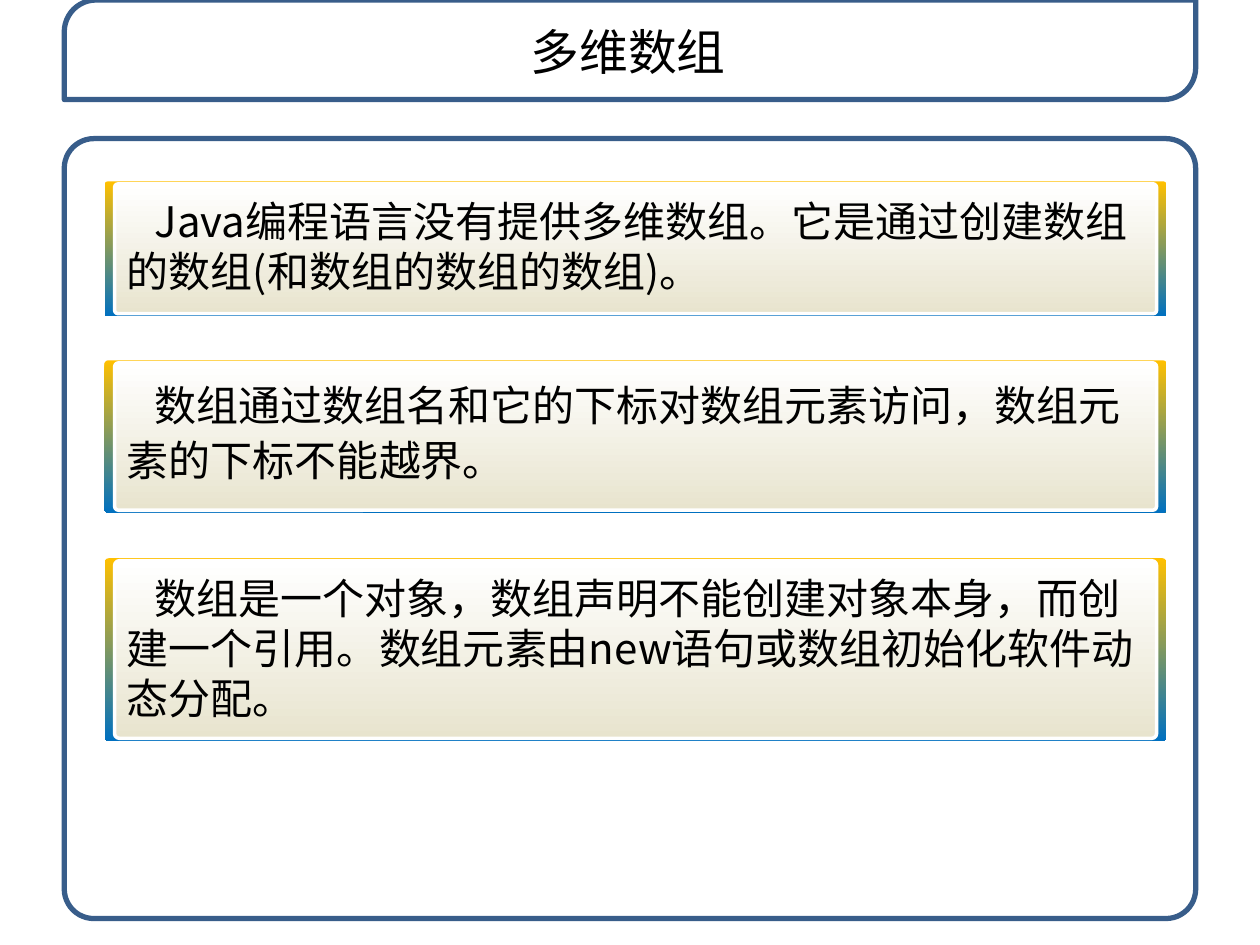
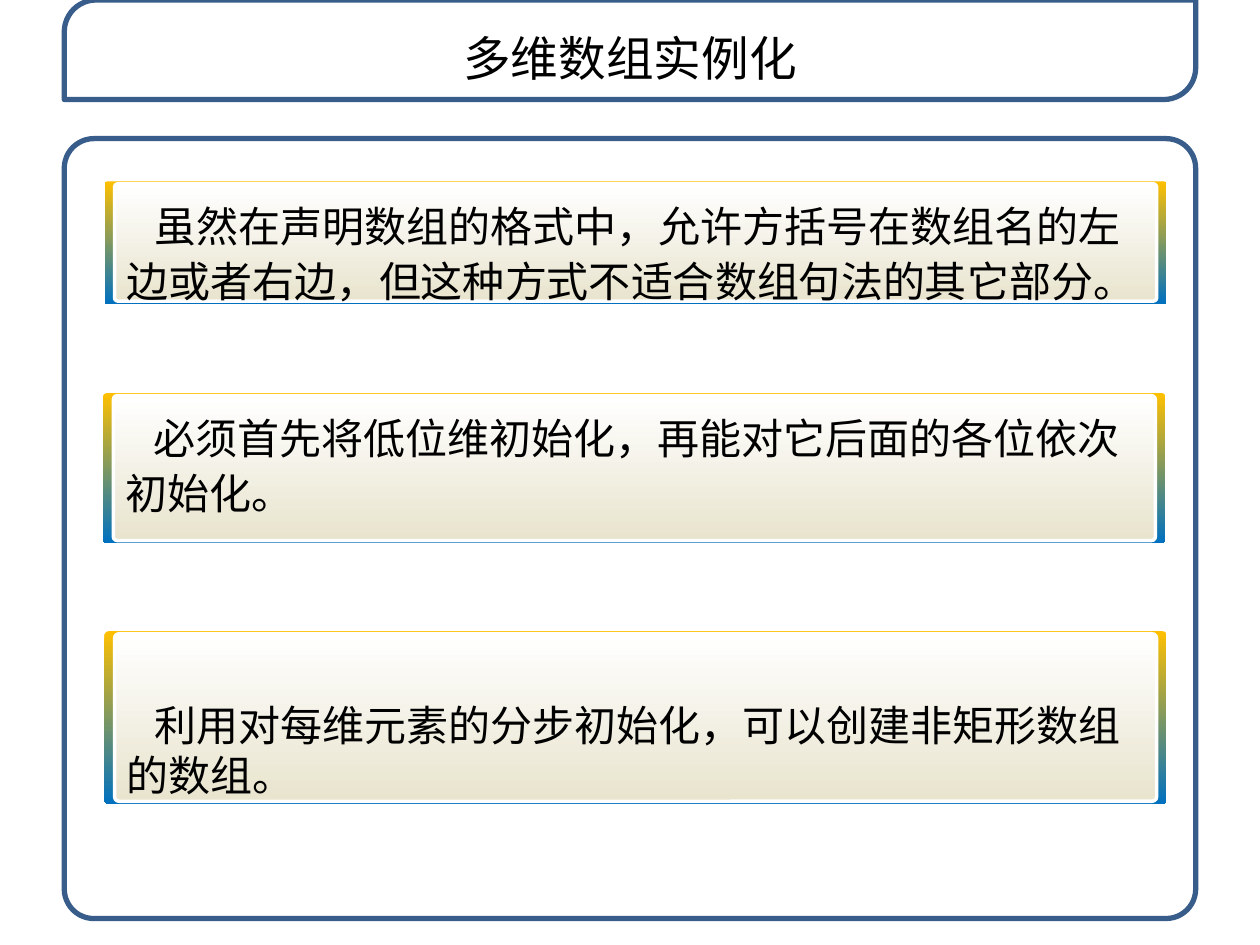
from dataclasses import dataclass

from lxml.etree import SubElement
from pptx import Presentation
from pptx.dml.color import RGBColor
from pptx.enum.shapes import MSO_SHAPE as Preset
from pptx.enum.text import MSO_ANCHOR as Anchor, MSO_AUTO_SIZE as AutoSize, PP_ALIGN as Align
from pptx.oxml.ns import qn
from pptx.util import Inches, Pt


@dataclass(frozen=True)
class Theme:
    font: str = "Noto Sans CJK SC"
    ink: str = "000000"
    paper: str = "FFFFFF"
    border: str = "385D8A"
    card_edge: tuple = ("FFC000", "0070C0")
    card_face: tuple = ("FFFFFF", "E8E4CE")
    body_size: float = 24
    line_height: float = 1.2
    frame_alpha: int = 85


@dataclass(frozen=True)
class Box:
    left: float
    top: float
    width: float
    height: float

    def inset(self, x, y):
        return Box(self.left + x, self.top + y, self.width - 2 * x, self.height - 2 * y)

    def lengths(self):
        return [Inches(value) for value in (self.left, self.top, self.width, self.height)]


@dataclass(frozen=True)
class Card:
    box: Box
    text: str
    text_height: float
    spacing: float = 1.0
    text_offset: float = 0.02


THEME = Theme()
TITLE_FRAME = Box(0.51, 0, 8.98, 0.79)
BODY_FRAME = Box(0.51, 1.1, 8.98, 6.19)
CARD_LEFT, CARD_WIDTH = 0.83, 8.43
PANEL_INSET = (0.08, 0.02)

SLIDES = [
    ("多维数组", Box(0.49, 0.08, 8.99, 0.6), 27.9, [
        Card(Box(CARD_LEFT, 1.44, CARD_WIDTH, 1.07),
             "Java编程语言没有提供多维数组。它是通过创建数组的数组(和数组的数组的数组)。", 0.9),
        Card(Box(CARD_LEFT, 2.86, CARD_WIDTH, 1.21),
             "数组通过数组名和它的下标对数组元素访问，数组元素的下标不能越界。", 0.98, spacing=1.1),
        Card(Box(CARD_LEFT, 4.43, CARD_WIDTH, 1.45),
             "数组是一个对象，数组声明不能创建对象本身，而创建一个引用。"
             "数组元素由new语句或数组初始化软件动态分配。", 1.3),
    ]),
    ("多维数组实例化", Box(0.59, 0.14, 8.82, 0.6), 27.2, [
        Card(Box(CARD_LEFT, 1.44, CARD_WIDTH, 0.97),
             "虽然在声明数组的格式中，允许方括号在数组名的左边或者右边，"
             "但这种方式不适合数组句法的其它部分。", 0.98, spacing=1.1),
        Card(Box(0.82, 3.12, CARD_WIDTH, 1.19),
             "必须首先将低位维初始化，再能对它后面的各位依次初始化。", 0.98, spacing=1.1),
        Card(Box(CARD_LEFT, 5.01, CARD_WIDTH, 1.37),
             "利用对每维元素的分步初始化，可以创建非矩形数组的数组。", 0.9, text_offset=0.45),
    ]),
]


def write_text(shape, text, *, size=THEME.body_size, align=Align.LEFT, spacing=1.0,
               indent=0, side_margin=0.1):
    frame = shape.text_frame
    frame.word_wrap = True
    frame.auto_size = AutoSize.NONE
    frame.vertical_anchor = Anchor.TOP
    frame.margin_left = frame.margin_right = Inches(side_margin)
    # Exact line spacing trims the ascent, so the top margin makes up for it
    frame.margin_top, frame.margin_bottom = Inches(0.09), Inches(0.01)
    paragraph = frame.paragraphs[0]
    paragraph.alignment = align
    paragraph.line_spacing = Pt(round(size * THEME.line_height * spacing, 1))
    paragraph.space_before = Pt(0)
    if indent:
        properties = paragraph._p.get_or_add_pPr()
        properties.set("marL", "0")
        properties.set("indent", str(Inches(indent)))
    run = paragraph.add_run()
    run.text = text
    run.font.size = Pt(size)
    run.font.color.rgb = RGBColor.from_string(THEME.ink)
    run.font.name = THEME.font
    SubElement(run.font._element, qn("a:ea"), typeface=THEME.font)


def add_preset(shapes, preset, box, adjustment, *, line=None, width=0):
    shape = shapes.add_shape(preset, *box.lengths())
    shape.shadow.inherit = False
    shape.adjustments[0] = adjustment
    if line:
        shape.line.color.rgb = RGBColor.from_string(line)
        shape.line.width = Pt(width)
    else:
        shape.line.fill.background()
    return shape


def fill_gradient(shape, colors):
    shape.fill.gradient()
    shape.fill.gradient_angle = 270
    for stop, color, position in zip(shape.fill.gradient_stops, colors, (0, 1)):
        stop.color.rgb = RGBColor.from_string(color)
        stop.position = position


def add_frame(slide, preset, box, adjustment):
    frame = add_preset(slide.shapes, preset, box, adjustment, line=THEME.border, width=3)
    frame.fill.solid()
    frame.fill.fore_color.rgb = RGBColor.from_string(THEME.paper)
    color = frame._element.spPr.find(qn("a:solidFill")).find(qn("a:srgbClr"))
    SubElement(color, qn("a:alpha"), val=str(THEME.frame_alpha * 1000))


def add_card(slide, card):
    shapes = slide.shapes.add_group_shape().shapes
    # Coloured edge, then the pale panel inside it
    edge = add_preset(shapes, Preset.ROUNDED_RECTANGLE, card.box, 0.024)
    fill_gradient(edge, THEME.card_edge)
    panel_box = card.box.inset(*PANEL_INSET)
    panel = add_preset(shapes, Preset.ROUNDED_RECTANGLE, panel_box, 0.027,
                       line=THEME.paper, width=2)
    fill_gradient(panel, THEME.card_face)
    # Paragraph with a first-line indent
    text_box = Box(panel_box.left, card.box.top + card.text_offset,
                   panel_box.width, card.text_height)
    write_text(shapes.add_textbox(*text_box.lengths()), card.text,
               spacing=card.spacing, indent=0.22)


def place_title(slide, text, box, size):
    title = slide.shapes.title
    title.left, title.top, title.width, title.height = box.lengths()
    write_text(title, text, size=size, align=Align.CENTER, side_margin=0.16)
    # Bring the title in front of its frame
    title._element.getparent().append(title._element)


def add_card_slide(presentation, title, title_box, title_size, cards):
    slide = presentation.slides.add_slide(presentation.slide_layouts[5])
    add_frame(slide, Preset.ROUNDED_RECTANGLE, BODY_FRAME, 0.038)
    add_frame(slide, Preset.ROUND_2_DIAG_RECTANGLE, TITLE_FRAME, 0.32)
    for card in cards:
        add_card(slide, card)
    place_title(slide, title, title_box, title_size)


def main():
    presentation = Presentation()
    presentation.slide_width, presentation.slide_height = Inches(10), Inches(7.5)
    for content in SLIDES:
        add_card_slide(presentation, *content)
    presentation.save("out.pptx")


if __name__ == "__main__":
    main()
